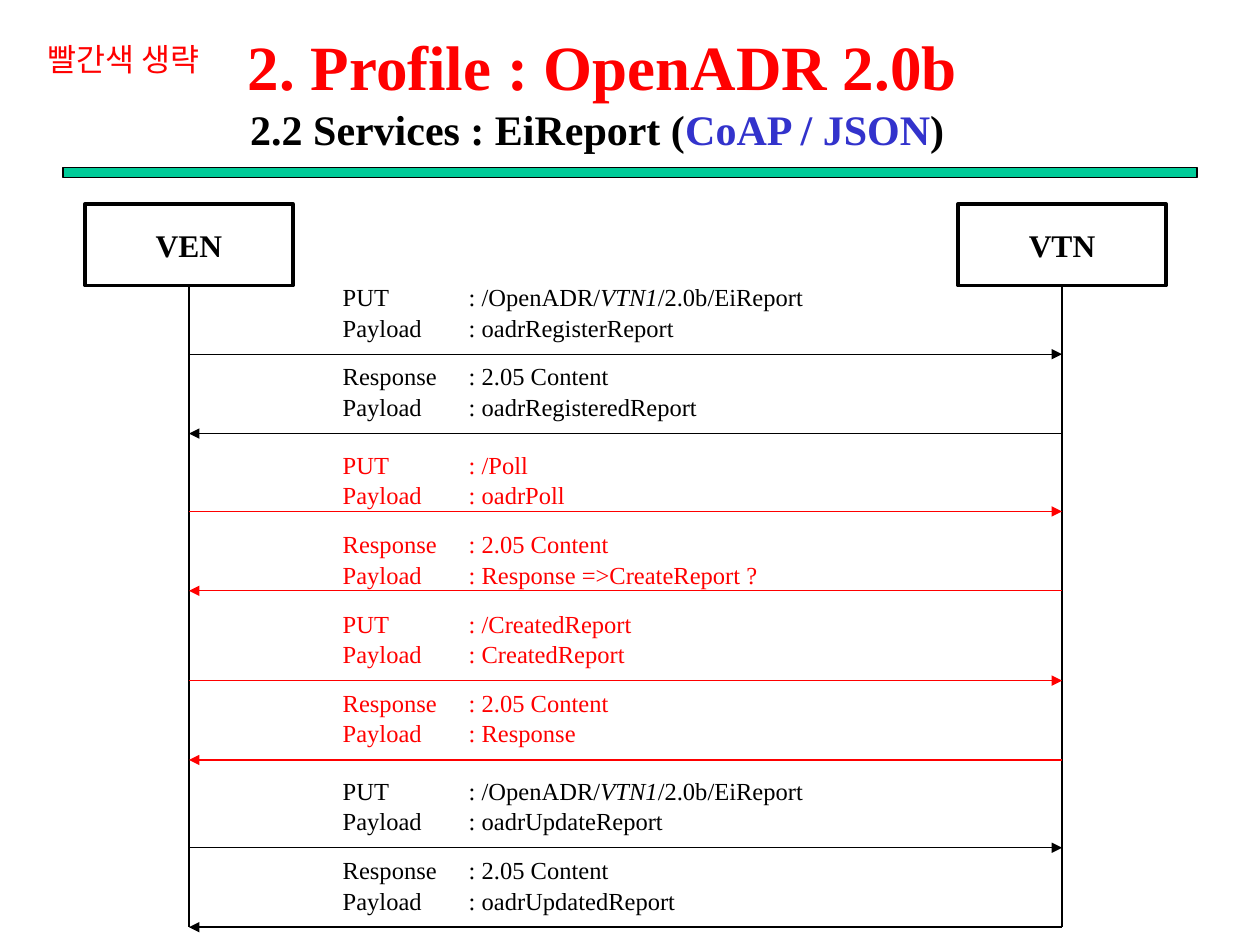
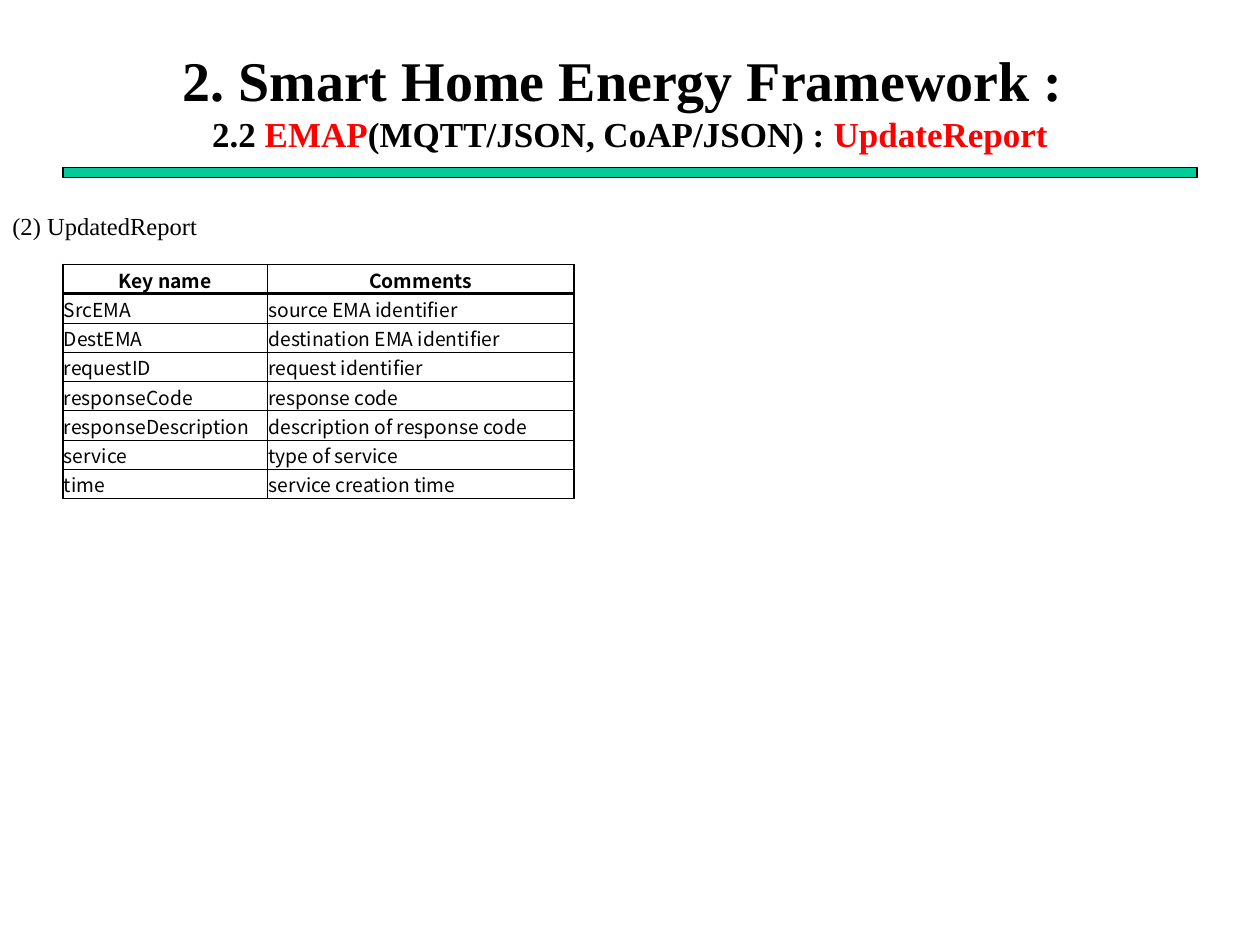
from copy import deepcopy

from lxml import etree
from pptx import Presentation
from pptx import util as u
from pptx.dml.color import RGBColor
from pptx.enum import shapes, text
from pptx.oxml import ns

BLACK = RGBColor(0x00, 0x00, 0x00)
RED = RGBColor(0xFF, 0x00, 0x00)
BLUE = RGBColor(0x33, 0x33, 0xCC)
GREEN = RGBColor(0x00, 0xCC, 0x99)
SERIF = "Times New Roman"
SANS = "Noto Sans CJK KR"

VEN_X, VTN_X = 3.81, 21.41
ACTOR_TOP, ACTOR_W, ACTOR_H = 4.11, 4.19, 1.65
REPLY_GAP = 1.6
TAB_STOP = 2.54
URI = [(": /OpenADR/", {}), ("VTN1", {"italic": True}), ("/2.0b/EiReport", {})]

EXCHANGES = [
    (5.54, 7.14, BLACK, URI, "oadrRegisterReport", 10.1, "oadrRegisteredReport", 7.8),
    (8.92, 10.31, RED, [(": /Poll", {})], "oadrPoll", 5.1,
     "Response =>CreateReport ?", 9.0),
    (12.12, 13.72, RED, [(": /CreatedReport", {})], "CreatedReport", 6.8, "Response", 6.2),
    (15.49, 17.09, BLACK, URI, "oadrUpdateReport", 10.0, "oadrUpdatedReport", 7.4),
]

REPORT_KEYS = [
    ("Key name", "Comments"),
    ("SrcEMA", "source EMA identifier"),
    ("DestEMA", "destination EMA identifier"),
    ("requestID", "request identifier"),
    ("responseCode", "response code"),
    ("responseDescription", "description of response code"),
    ("service", "type of service"),
    ("time", "service creation time"),
]


def add_run(p, words, size=14, color=BLACK, font=SERIF, bold=False, italic=False):
    r = p.add_run()
    r.text = words
    f = r.font
    f.size, f.name, f.bold, f.italic = u.Pt(size), font, bold, italic
    f.color.rgb = color
    return r


def add_tab_stop(p, position):
    tabs = etree.SubElement(p._p.get_or_add_pPr(), ns.qn("a:tabLst"))
    etree.SubElement(tabs, ns.qn("a:tab"), pos=str(u.Cm(position)), algn="l")


def add_text(s, left, top, width, height, lines, tabbed=False, **fmt):
    tf = s.shapes.add_textbox(u.Cm(left), u.Cm(top), u.Cm(width), u.Cm(height)).text_frame
    tf.word_wrap = True
    for i, runs in enumerate(lines):
        p = tf.add_paragraph() if i else tf.paragraphs[0]
        p.line_spacing = 1.04
        if tabbed:
            add_tab_stop(p, TAB_STOP)
        for words, extra in runs:
            add_run(p, words, **{**fmt, **extra})


def add_box(s, left, top, width, height, line_width, fill=None):
    sp = s.shapes.add_shape(shapes.MSO_SHAPE.RECTANGLE,
                            u.Cm(left), u.Cm(top), u.Cm(width), u.Cm(height))
    sp.shadow.inherit = False
    if fill is None:
        sp.fill.background()
    else:
        sp.fill.solid()
        sp.fill.fore_color.rgb = fill
    sp.line.color.rgb = BLACK
    sp.line.width = u.Pt(line_width)
    return sp


def add_line(s, x1, y1, x2, y2, color=BLACK, arrow=None):
    c = s.shapes.add_connector(shapes.MSO_CONNECTOR.STRAIGHT,
                               u.Cm(x1), u.Cm(y1), u.Cm(x2), u.Cm(y2))
    c.line.color.rgb = color
    c.line.width = u.Pt(0.75)
    if arrow:
        etree.SubElement(c.line._get_or_add_ln(), ns.qn("a:" + arrow), type="triangle")
    etree.SubElement(c._element.spPr, ns.qn("a:effectLst"))


def add_titled_slide(prs, left, top, width, heading, subtitle):
    s = prs.slides.add_slide(prs.slide_layouts[5])
    add_box(s, 1.27, 3.38, 22.86, 0.2, 0.75, GREEN)
    t = s.shapes.title
    t.left, t.top, t.width, t.height = u.Cm(left), u.Cm(top), u.Cm(width), u.Cm(2.34)
    tf = t.text_frame
    tf.auto_size = text.MSO_AUTO_SIZE.NONE
    tf.vertical_anchor = text.MSO_ANCHOR.MIDDLE
    p = tf.paragraphs[0]
    p.alignment = text.PP_ALIGN.CENTER
    words, fmt = heading
    r = add_run(p, words, bold=True, **fmt)
    p.add_line_break()
    p._p[-1].append(deepcopy(r.font._element))
    for words, fmt in subtitle:
        add_run(p, words, bold=True, **fmt)
    return s


def add_actor(s, name, center):
    sp = add_box(s, center - ACTOR_W / 2, ACTOR_TOP, ACTOR_W, ACTOR_H, 2)
    sp.text_frame.vertical_anchor = text.MSO_ANCHOR.MIDDLE
    p = sp.text_frame.paragraphs[0]
    p.alignment = text.PP_ALIGN.CENTER
    add_run(p, name, 18, bold=True)
    add_line(s, center, ACTOR_TOP + ACTOR_H, center, 18.69)


def add_message(s, top, arrow_y, color, verb, target, payload, width, arrow):
    add_line(s, VEN_X, arrow_y, VTN_X, arrow_y, color, arrow)
    lines = [[(verb + "\t", {})] + target, [("Payload\t: " + payload, {})]]
    add_text(s, 6.66, top, width, 1.45, lines, tabbed=True, color=color)


def add_exchange(s, top, arrow_y, color, target, request, request_w, reply, reply_w):
    add_message(s, top, arrow_y, color, "PUT", target, request, request_w, "tailEnd")
    add_message(s, top + REPLY_GAP, arrow_y + REPLY_GAP, color, "Response",
                [(": 2.05 Content", {})], reply, reply_w, "headEnd")


def set_borders(cell, widths):
    tc_pr = cell._tc.get_or_add_tcPr()
    for i, (side, width) in enumerate(zip("LRTB", widths)):
        ln = etree.Element(ns.qn("a:ln" + side), w=str(u.Pt(width)))
        fill = etree.SubElement(ln, ns.qn("a:solidFill"))
        etree.SubElement(fill, ns.qn("a:srgbClr"), val=str(BLACK))
        tc_pr.insert(i, ln)


def add_key_table(s, left, top, col_widths, row_height, rows):
    last = len(rows) - 1
    table = s.shapes.add_table(len(rows), len(col_widths), u.Cm(left), u.Cm(top),
                               u.Cm(sum(col_widths)), u.Cm(row_height * len(rows))).table
    for col, width in zip(table.columns, col_widths):
        col.width = u.Cm(width)
    for i, row in enumerate(rows):
        table.rows[i].height = u.Cm(row_height)
        for j, words in enumerate(row):
            cell = table.cell(i, j)
            cell.margin_left = cell.margin_right = cell.margin_top = u.Cm(0.02)
            cell.margin_bottom = 0
            cell.vertical_anchor = text.MSO_ANCHOR.MIDDLE
            cell.fill.background()
            above = {0: 1, 1: 2}.get(i, 0.5)
            below = {0: 2, last: 1}.get(i, 0.5)
            set_borders(cell, (0.5 if j else 1, 1 if j else 0.5, above, below))
            p = cell.text_frame.paragraphs[0]
            p.alignment = text.PP_ALIGN.LEFT if i else text.PP_ALIGN.CENTER
            add_run(p, words, 11, font=SANS, bold=i == 0)


def build_sequence_slide(prs):
    s = add_titled_slide(
        prs, 0.08, 0.66, 24.13,
        ("2. Profile : OpenADR 2.0b", {"size": 36, "color": RED}),
        [("2.2 Services : EiReport (", {"size": 24}),
         ("CoAP / JSON", {"size": 24, "color": BLUE}),
         (") ", {"size": 24})])
    add_actor(s, "VEN", VEN_X)
    add_actor(s, "VTN", VTN_X)
    for exchange in EXCHANGES:
        add_exchange(s, *exchange)
    add_text(s, 0.71, 0.66, 5, 1.02, [[("빨간색 생략", {})]], size=18, color=RED)


def build_report_slide(prs):
    s = add_titled_slide(
        prs, 1.27, 0.84, 22.86,
        ("2. Smart Home Energy Framework : ", {"size": 32}),
        [("2.2 ", {"size": 20}),
         ("EMAP", {"size": 20, "color": RED}),
         ("(MQTT/JSON, CoAP/JSON) : ", {"size": 20}),
         ("UpdateReport", {"size": 20, "color": RED})])
    add_text(s, 0, 4.11, 4.55, 0.86, [[("(2) UpdatedReport", {})]])
    add_key_table(s, 1.27, 5.33, (4.12, 6.18), 0.59, REPORT_KEYS)


def main():
    prs = Presentation()
    prs.slide_width, prs.slide_height = u.Cm(25.4), u.Cm(19.05)
    build_sequence_slide(prs)
    build_report_slide(prs)
    prs.save("out.pptx")


if __name__ == "__main__":
    main()
